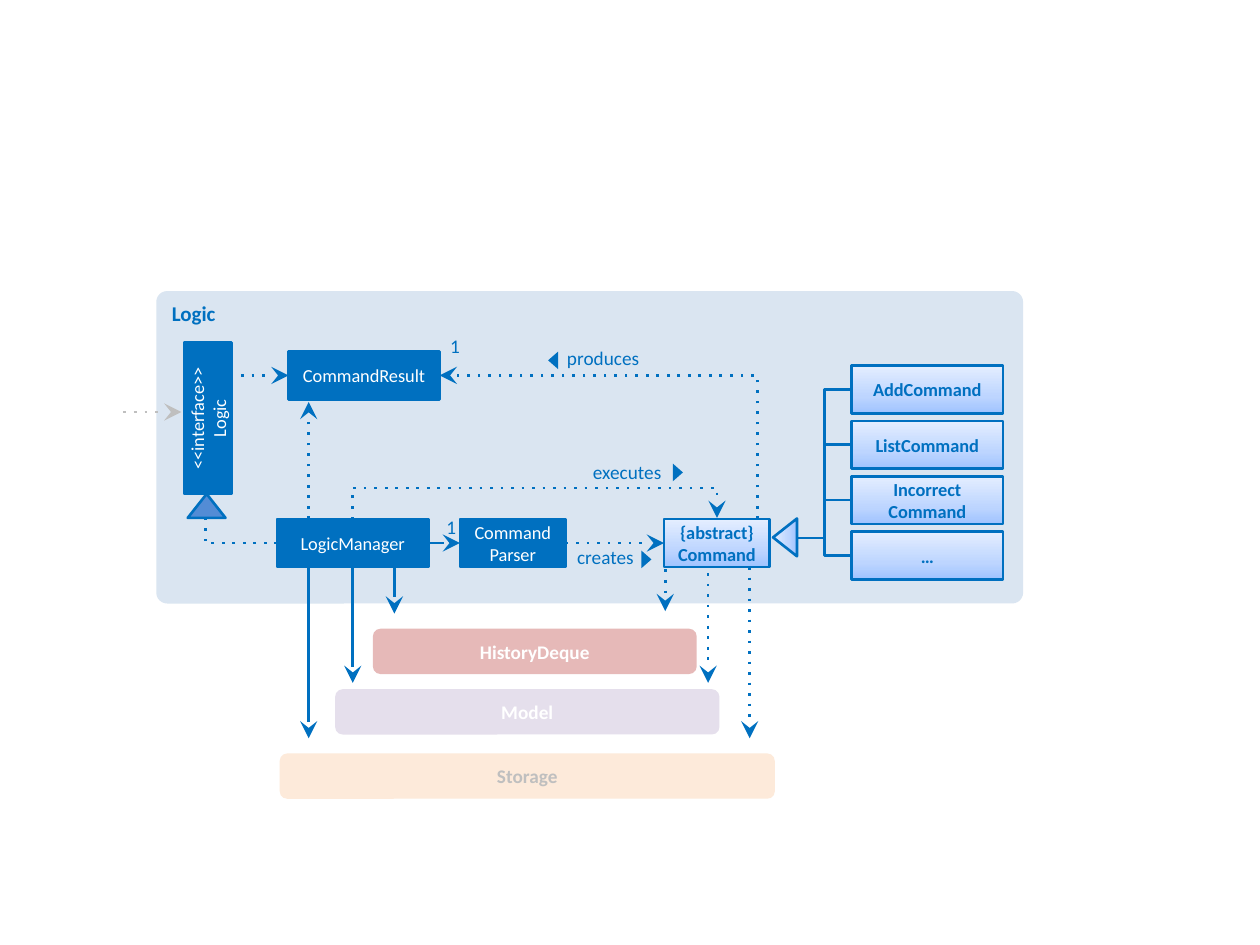
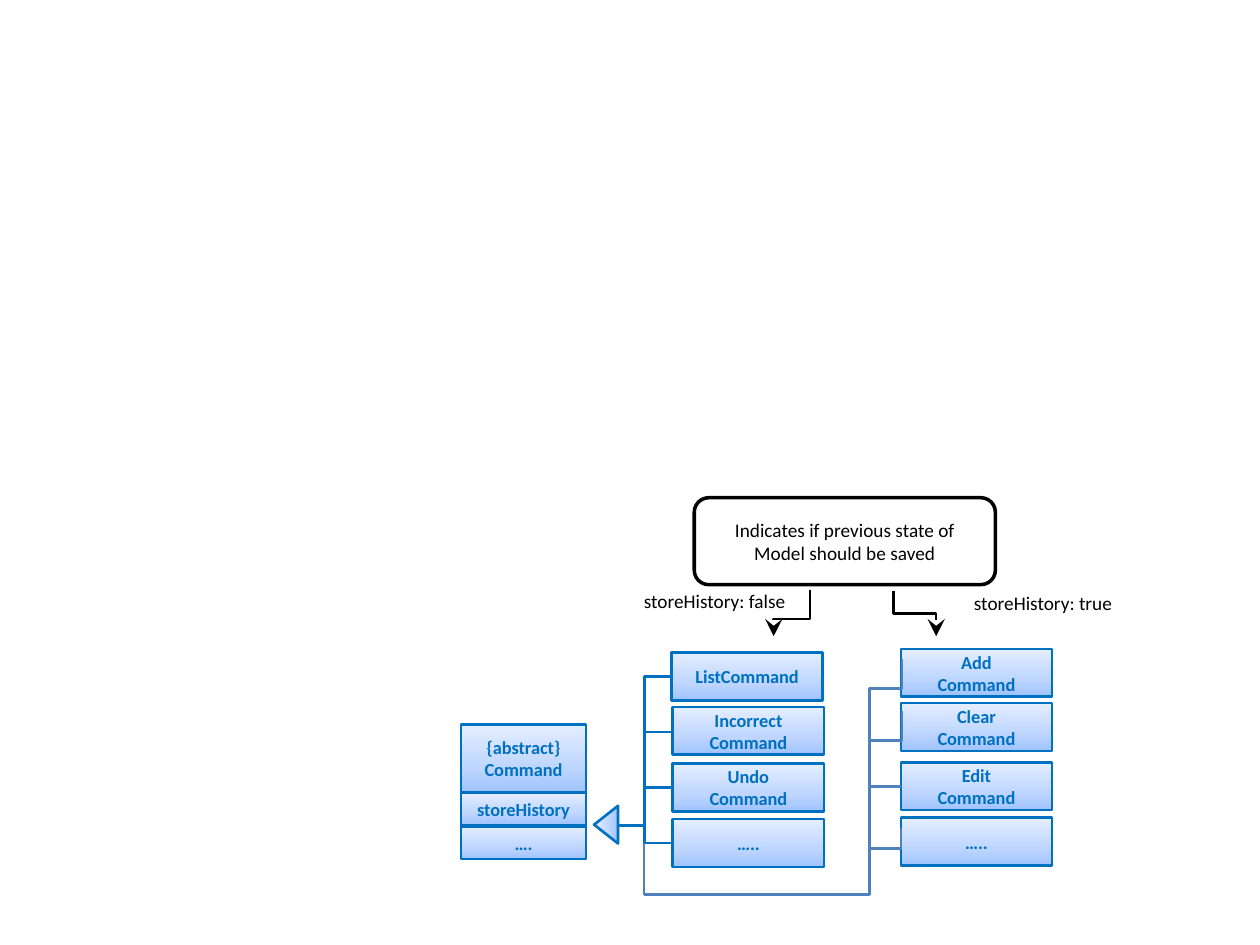
import pptx
import copy
import lxml.etree
import pptx.util
import pptx.dml.color
import pptx.enum.shapes
import pptx.enum.text
import pptx.oxml.ns

Inches = pptx.util.Inches
Pt = pptx.util.Pt
qn = pptx.oxml.ns.qn
rgb = pptx.dml.color.RGBColor.from_string
SHAPE = pptx.enum.shapes.MSO_SHAPE
CONNECTOR = pptx.enum.shapes.MSO_CONNECTOR
ALIGN = pptx.enum.text.PP_ALIGN
ANCHOR = pptx.enum.text.MSO_ANCHOR

BLUE, STEEL, GREY, WHITE, BLACK = "0070C0", "4F81BD", "BFBFBF", "FFFFFF", "000000"
SHEEN = ((0, "9FC3FF"), (0.35, "BDD5FF"), (1, "E4EEFF"))

CLASS = {"fill": BLUE, "edge": BLUE, "color": WHITE}
COMMAND = {"fill": SHEEN, "edge": BLUE, "color": BLUE, "bold": True}
COMPONENT = {"kind": SHAPE.ROUNDED_RECTANGLE, "size": 11, "bold": True}
LABEL = {"kind": None, "size": 11, "anchor": ANCHOR.TOP}
INHERITANCE = {"kind": SHAPE.ISOSCELES_TRIANGLE, "edge": BLUE}
DEPENDENCY = {"dash": "dot", "arrow": True}


def box(slide, at, text="", kind=SHAPE.RECTANGLE, fill=None, edge=None, weight=1.5, turn=0,
        color=BLUE, size=10.5, bold=False, align=ALIGN.CENTER, anchor=ANCHOR.MIDDLE, corner=None):
    """Place a shape with text; kind None gives a text box without margins."""
    place = [Inches(length) for length in at]
    if kind is None:
        part = slide.shapes.add_textbox(*place)
    else:
        part = slide.shapes.add_shape(kind, *place)
        part.shadow.inherit = False
        part.rotation = turn
        if corner is not None:
            part.adjustments[0] = corner
        if fill == SHEEN:
            part.fill.gradient()
            part.fill.gradient_angle = 90
            first_stop = next(part.element.iter(qn("a:gs")))
            first_stop.addnext(copy.deepcopy(first_stop))
            for stop, (position, shade) in zip(part.fill.gradient_stops, SHEEN):
                stop.color.rgb = rgb(shade)
                stop.position = position
        else:
            part.fill.solid()
            part.fill.fore_color.rgb = rgb(fill)
        if edge:
            part.line.color.rgb = rgb(edge)
            part.line.width = Pt(weight)
        else:
            part.line.fill.background()
    frame = part.text_frame
    frame.word_wrap = True
    frame.vertical_anchor = anchor
    if kind is None:
        for side in ("left", "top", "right", "bottom"):
            setattr(frame, f"margin_{side}", 0)
    if text:
        frame.text = text
        for paragraph in frame.paragraphs:
            paragraph.alignment = align
            looks = {"name": "Calibri", "size": Pt(size), "bold": bold}
            for name, value in looks.items():
                setattr(paragraph.font, name, value)
            paragraph.font.color.rgb = rgb(color)


def link(slide, start, end, route="straight", bend=0.5, color=BLUE, dash=None, arrow=False):
    """Join two points; route is straight, across, upright (leaves vertically) or corner."""
    (x1, y1), (x2, y2) = start, end
    if route == "upright":
        middle_x, middle_y = (x1 + x2) / 2, (y1 + y2) / 2
        reach, drift = abs(y2 - y1) / 2, abs(x2 - x1) / 2
        if (y2 > y1) == (x2 > x1):
            drift = -drift
        ends = (middle_x - reach, middle_y - drift, middle_x + reach, middle_y + drift)
    else:
        ends = (x1, y1, x2, y2)
    bent = CONNECTOR.STRAIGHT if route == "straight" else CONNECTOR.ELBOW
    line = slide.shapes.add_connector(bent, *[Inches(length) for length in ends])
    line.line.color.rgb = rgb(color)
    line.line.width = Pt(1.5)
    properties = line.element.spPr
    if route == "upright":
        properties.find(qn("a:xfrm")).set("rot", str((90 if y2 > y1 else 270) * 60000))
    geometry = properties.find(qn("a:prstGeom"))
    if route == "corner":
        geometry.set("prst", "bentConnector2")
    elif route != "straight":
        guides = geometry.find(qn("a:avLst"))
        lxml.etree.SubElement(guides, qn("a:gd"), name="adj1", fmla=f"val {round(bend * 100000)}")
    stroke = properties.find(qn("a:ln"))
    if dash:
        lxml.etree.SubElement(stroke, qn("a:prstDash"), val=dash)
    if arrow:
        lxml.etree.SubElement(stroke, qn("a:tailEnd"), type="stealth", w="lg", len="lg")
    lxml.etree.SubElement(properties, qn("a:effectLst"))


deck = pptx.Presentation()
deck.slide_width, deck.slide_height = Inches(10), Inches(7.5)
blank = deck.slide_layouts[6]

# Slide 1: the Logic component
logic = deck.slides.add_slide(blank)
box(logic, (1.24, 2.31, 6.88, 2.48), "Logic", SHAPE.ROUNDED_RECTANGLE, "DAE5F1", size=12,
    bold=True, align=ALIGN.LEFT, anchor=ANCHOR.TOP, corner=0.035)

for at, text, turn in (
    ((2.29, 2.79, 1.2, 0.38), "CommandResult", 0),
    ((2.2, 4.12, 1.2, 0.38), "LogicManager", 0),
    ((3.65, 4.12, 0.84, 0.38), "Command\nParser", 0),
    ((1.05, 3.13, 1.2, 0.38), "<<interface>>\nLogic", 270),
):
    box(logic, at, text, turn=turn, **CLASS)

box(logic, (5.27, 4.12, 0.84, 0.38), "{abstract}\nCommand", **COMMAND)
box(logic, (6.08, 4.17, 0.3, 0.19), fill=SHEEN, turn=270, **INHERITANCE)
box(logic, (1.49, 3.92, 0.3, 0.19), fill="538CD5", **INHERITANCE)

subclasses = ("AddCommand", "ListCommand", "Incorrect\nCommand", "…")
for row, subclass in enumerate(subclasses):
    top = 2.9 + row * 0.44
    box(logic, (6.76, top, 1.2, 0.38), subclass, **COMMAND)
    link(logic, (6.33, 4.27), (6.76, top + 0.19), "across")

for at, text, fill, color in (
    ((2.66, 5.47, 3.05, 0.36), "Model", "E5DFEC", WHITE),
    ((2.22, 5.98, 3.93, 0.36), "Storage", "FDEADA", GREY),
    ((2.96, 4.99, 2.57, 0.36), "HistoryDeque", "E6B9B8", WHITE),
):
    box(logic, at, text, fill=fill, color=color, **COMPONENT)

link(logic, (6.01, 4.12), (3.49, 2.98), "upright", 1, **DEPENDENCY)
link(logic, (2.8, 4.12), (5.69, 4.11), "upright", 25, **DEPENDENCY)
link(logic, (2.2, 4.31), (1.63, 4.11), "corner", dash="dot")
link(logic, (0.98, 3.27), (1.44, 3.27), color=GREY, **DEPENDENCY)
link(logic, (3.4, 4.31), (3.65, 4.31), arrow=True)
for start, end in (
    ((1.83, 2.98), (2.29, 2.98)),
    ((2.45, 4.12), (2.45, 3.19)),
    ((4.49, 4.31), (5.27, 4.31)),
    ((5.28, 4.52), (5.28, 4.85)),
    ((5.62, 4.55), (5.62, 5.42)),
    ((5.95, 4.5), (5.95, 5.86)),
):
    link(logic, start, end, **DEPENDENCY)
for x, bottom in ((2.45, 5.86), (2.8, 5.42), (3.13, 4.87)):
    link(logic, (x, 4.5), (x, bottom), arrow=True)

for at, text, align in (
    ((4.45, 3.65, 0.8, 0.25), "executes", ALIGN.RIGHT),
    ((4.5, 2.75, 0.8, 0.25), "produces", ALIGN.LEFT),
    ((4.42, 4.33, 0.61, 0.25), "creates", ALIGN.RIGHT),
    ((3.51, 2.65, 0.14, 0.25), "1", ALIGN.RIGHT),
    ((3.48, 4.09, 0.14, 0.25), "1", ALIGN.RIGHT),
):
    box(logic, at, text, align=align, **LABEL)
for x, y, turn in ((5.31, 3.71, 90), (4.32, 2.82, 270), (5.06, 4.4, 90)):
    box(logic, (x, y, 0.14, 0.08), kind=SHAPE.ISOSCELES_TRIANGLE, fill=BLUE, turn=turn)

# Slide 2: commands that save history and those that do not
history = deck.slides.add_slide(blank)
link(history, (6.43, 4.68), (6.14, 5.05), "upright", 0.63, BLACK, arrow=True)
link(history, (7.09, 4.69), (7.43, 5.05), "upright", 0.5, BLACK, arrow=True)
link(history, (6.9, 6.72), (5.11, 7.1), "across", 0, STEEL)

for at, text in (
    ((3.66, 5.75, 0.99, 0.54), "{abstract}\nCommand"),
    ((3.66, 6.29, 0.99, 0.26), "storeHistory"),
    ((3.66, 6.56, 0.99, 0.26), "…."),
    ((5.33, 5.18, 1.2, 0.38), "ListCommand"),
    ((5.34, 5.61, 1.2, 0.38), "Incorrect\nCommand"),
    ((5.34, 6.06, 1.2, 0.38), "Undo\nCommand"),
    ((5.34, 6.5, 1.2, 0.38), "….."),
    ((7.15, 5.15, 1.2, 0.38), "Add\nCommand"),
    ((7.15, 5.58, 1.2, 0.38), "Clear\nCommand"),
    ((7.15, 6.05, 1.2, 0.38), "Edit\nCommand"),
    ((7.15, 6.49, 1.2, 0.38), "….."),
):
    box(history, at, text, **COMMAND)

box(history, (5.51, 3.95, 2.39, 0.69), "Indicates if previous state of Model should be saved",
    SHAPE.ROUNDED_RECTANGLE, WHITE, BLACK, 2, color=BLACK, size=11)
for at, text in (
    ((5.11, 4.68, 1.32, 0.29), "storeHistory: false"),
    ((7.73, 4.69, 1.13, 0.28), "storeHistory: true"),
):
    box(history, at, text, color=BLACK, align=ALIGN.LEFT, **LABEL)

box(history, (4.66, 6.45, 0.3, 0.19), fill=SHEEN, turn=270, **INHERITANCE)
for row in range(4):
    link(history, (4.9, 6.55), (5.33, 5.37 + row * 0.44), "across")

link(history, (5.11, 6.69), (5.11, 7.1), color=STEEL)
link(history, (7.15, 6.24), (6.9, 6.72), "corner", color=STEEL)
for start, end, bend in (
    ((7.15, 6.57), (6.9, 6.9), 0.5),
    ((7.16, 5.64), (6.9, 6.4), 0.31),
    ((7.16, 5.23), (6.9, 5.99), 0.31),
):
    link(history, start, end, "upright", bend, STEEL)

deck.save("out.pptx")
